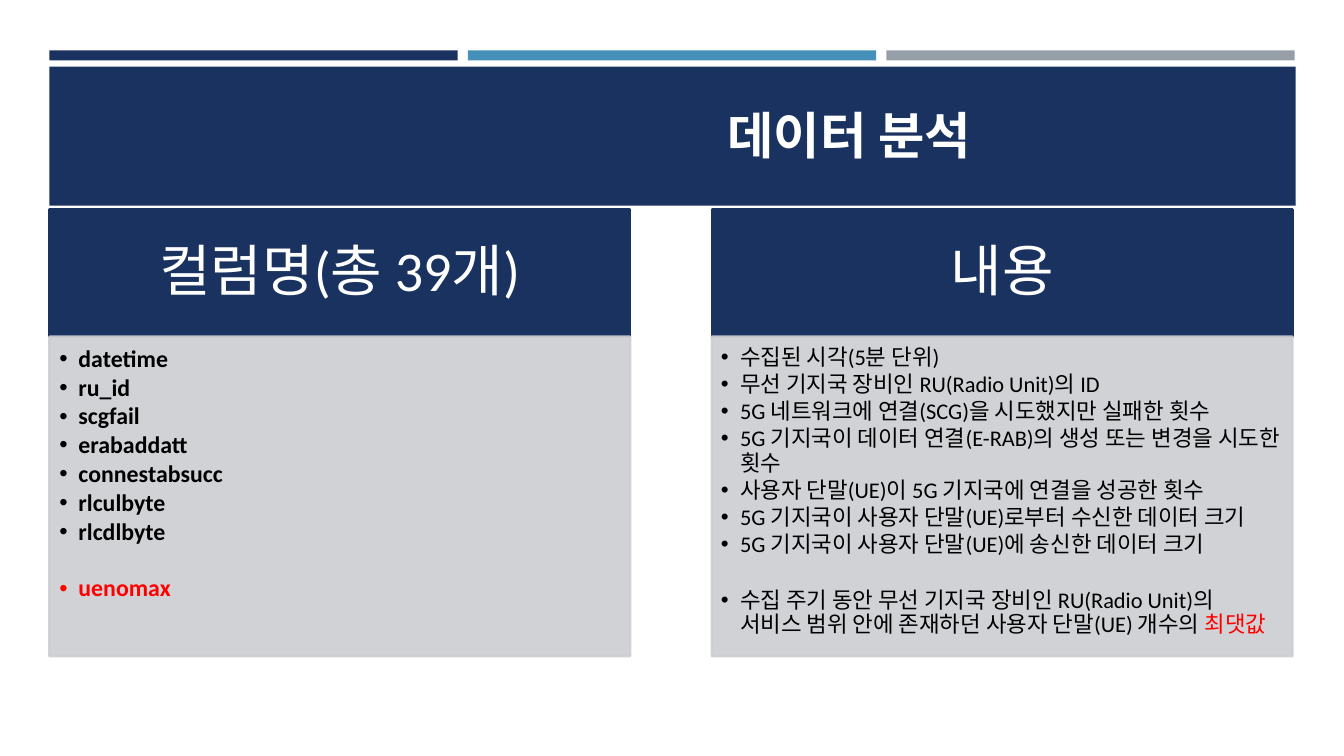
import pptx
import pptx.dml.color
import pptx.enum.shapes
import pptx.enum.text
import pptx.oxml
import pptx.oxml.ns
import pptx.util

Inches = pptx.util.Inches
Pt = pptx.util.Pt
RGBColor = pptx.dml.color.RGBColor
PP_ALIGN = pptx.enum.text.PP_ALIGN
MSO_ANCHOR = pptx.enum.text.MSO_ANCHOR

NAVY = RGBColor(0x1A, 0x32, 0x60)
BLUE = RGBColor(0x45, 0x90, 0xB8)
STEEL = RGBColor(0x96, 0x9F, 0xA7)
PALE = RGBColor(0xCD, 0xCE, 0xD2)
WHITE = RGBColor(0xFF, 0xFF, 0xFF)
BLACK = RGBColor(0x00, 0x00, 0x00)
RED = RGBColor(0xFF, 0x00, 0x00)

COLUMN_NAMES = [
    [("datetime", BLACK)],
    [("ru_id", BLACK)],
    [("scgfail", BLACK)],
    [("erabaddatt", BLACK)],
    [("connestabsucc", BLACK)],
    [("rlculbyte", BLACK)],
    [("rlcdlbyte", BLACK)],
    [("uenomax", RED)],
]
DESCRIPTIONS = [
    [("수집된 시각(5분 단위)", BLACK)],
    [("무선 기지국 장비인 RU(Radio Unit)의 ID", BLACK)],
    [("5G 네트워크에 연결(SCG)을 시도했지만 실패한 횟수", BLACK)],
    [("5G 기지국이 데이터 연결(E-RAB)의 생성 또는 변경을 시도한 횟수", BLACK)],
    [("사용자 단말(UE)이 5G 기지국에 연결을 성공한 횟수", BLACK)],
    [("5G 기지국이 사용자 단말(UE)로부터 수신한 데이터 크기", BLACK)],
    [("5G 기지국이 사용자 단말(UE)에 송신한 데이터 크기", BLACK)],
    [("수집 주기 동안 무선 기지국 장비인 RU(Radio Unit)의 서비스 범위 안에 "
      "존재하던 사용자 단말(UE) 개수의 ", BLACK), ("최댓값", RED)],
]


def apply_format(target, values):
    """Set each attribute of the target from a dict."""
    for name, value in values.items():
        setattr(target, name, value)


def add_block(slide, box, color, outlined=False):
    """Add a flat rectangle, with an outline of its own colour if asked."""
    block = slide.shapes.add_shape(
        pptx.enum.shapes.MSO_SHAPE.RECTANGLE, *map(Inches, box))
    block.shadow.inherit = False
    block.fill.solid()
    block.fill.fore_color.rgb = color
    if outlined:
        block.line.color.rgb = color
        block.line.width = Pt(1.75)
    else:
        block.line.fill.background()
    return block


def set_opacity(block, percent):
    """Make the fill and outline of a block partly transparent."""
    for color in block.element.spPr.iter(pptx.oxml.ns.qn("a:srgbClr")):
        color.append(pptx.oxml.parse_xml(
            f'<a:alpha {pptx.oxml.ns.nsdecls("a")} val="{percent * 1000}"/>'))


def add_bullet(paragraph):
    """Give a paragraph a round bullet with a hanging indent."""
    properties = paragraph._p.get_or_add_pPr()
    properties.set("marL", str(Inches(0.19)))
    properties.set("indent", str(Inches(-0.19)))
    namespace = pptx.oxml.ns.nsdecls("a")
    for tag in ('buFont {} typeface="Arial"', 'buChar {} char="•"'):
        properties.append(pptx.oxml.parse_xml(f"<a:{tag.format(namespace)}/>"))


def add_stripes(slide, left, top, width, gap):
    """Place three stripes of equal width along the top."""
    for index, color in enumerate((NAVY, BLUE, STEEL)):
        add_block(slide, (left + index * (width + gap), top, width, 0.1), color)


def add_title(slide, box):
    """Place the banner and the slide title on top of it."""
    add_block(slide, box, NAVY)
    title = slide.shapes.title
    left, top, width, _ = box
    apply_format(title, {
        "left": Inches(left - 2.82), "top": Inches(top - 0.06),
        "width": Inches(width - 0.3), "height": Inches(1.08)})
    title.element.getparent().append(title.element)
    apply_format(title.text_frame, {
        "text": "데이터 분석", "word_wrap": True,
        "auto_size": pptx.enum.text.MSO_AUTO_SIZE.NONE,
        "vertical_anchor": MSO_ANCHOR.BOTTOM})
    heading = title.text_frame.paragraphs[0]
    heading.alignment = PP_ALIGN.RIGHT
    apply_format(heading.font, {"name": "Arial", "size": Pt(36), "bold": True})
    heading.font.color.rgb = WHITE


def add_panel(slide, box, heading, items, size, bold, inset):
    """Place a headed panel with a bulleted list whose last item stands apart."""
    left, top, width, height = box
    header_height = 1.26
    header = add_block(slide, (left, top, width, header_height), NAVY, True)
    apply_format(header.text_frame, {
        "text": heading, "word_wrap": True,
        "vertical_anchor": MSO_ANCHOR.MIDDLE,
        "margin_left": Inches(0.31), "margin_right": Inches(0.31),
        "margin_top": Inches(0.18), "margin_bottom": Inches(0.18)})
    label = header.text_frame.paragraphs[0]
    apply_format(label, {"alignment": PP_ALIGN.CENTER, "line_spacing": 0.9})
    apply_format(label.font, {"name": "Calibri", "size": Pt(40)})
    label.font.color.rgb = WHITE

    body = add_block(slide, (left, top + header_height, width,
                             height - header_height), PALE, True)
    set_opacity(body, 90)
    frame = body.text_frame
    apply_format(frame, {
        "word_wrap": True, "vertical_anchor": MSO_ANCHOR.TOP,
        "margin_left": Inches(inset), "margin_top": Inches(inset),
        "margin_right": Inches(inset + 0.03),
        "margin_bottom": Inches(inset + 0.05)})
    for index, item in enumerate(items):
        entry = frame.add_paragraph() if index else frame.paragraphs[0]
        add_bullet(entry)
        apply_format(entry, {"alignment": PP_ALIGN.LEFT, "line_spacing": 0.9,
                             "space_after": Pt(2.2)})
        if index == len(items) - 1:
            entry.space_before = Pt(20)
        for text, color in item:
            part = entry.add_run()
            part.text = text
            apply_format(part.font, {"name": "Calibri", "size": Pt(size),
                                     "bold": bold})
            part.font.color.rgb = color


def main():
    """Build the slide and save it."""
    deck = pptx.Presentation()
    apply_format(deck, {"slide_width": Inches(13.33),
                        "slide_height": Inches(7.5)})
    slide = deck.slides.add_slide(deck.slide_layouts.get_by_name("Title Only"))
    add_stripes(slide, 0.49, 0.5, 4.05, 0.1)
    add_title(slide, (0.49, 0.66, 12.36, 1.38))
    add_panel(slide, (0.49, 2.08, 5.76, 4.43), "컬럼명(총 39개)",
              COLUMN_NAMES, 17, True, 0.1)
    add_panel(slide, (7.06, 2.08, 5.76, 4.43), "내용",
              DESCRIPTIONS, 16, False, 0.09)
    deck.save("out.pptx")


if __name__ == "__main__":
    main()
